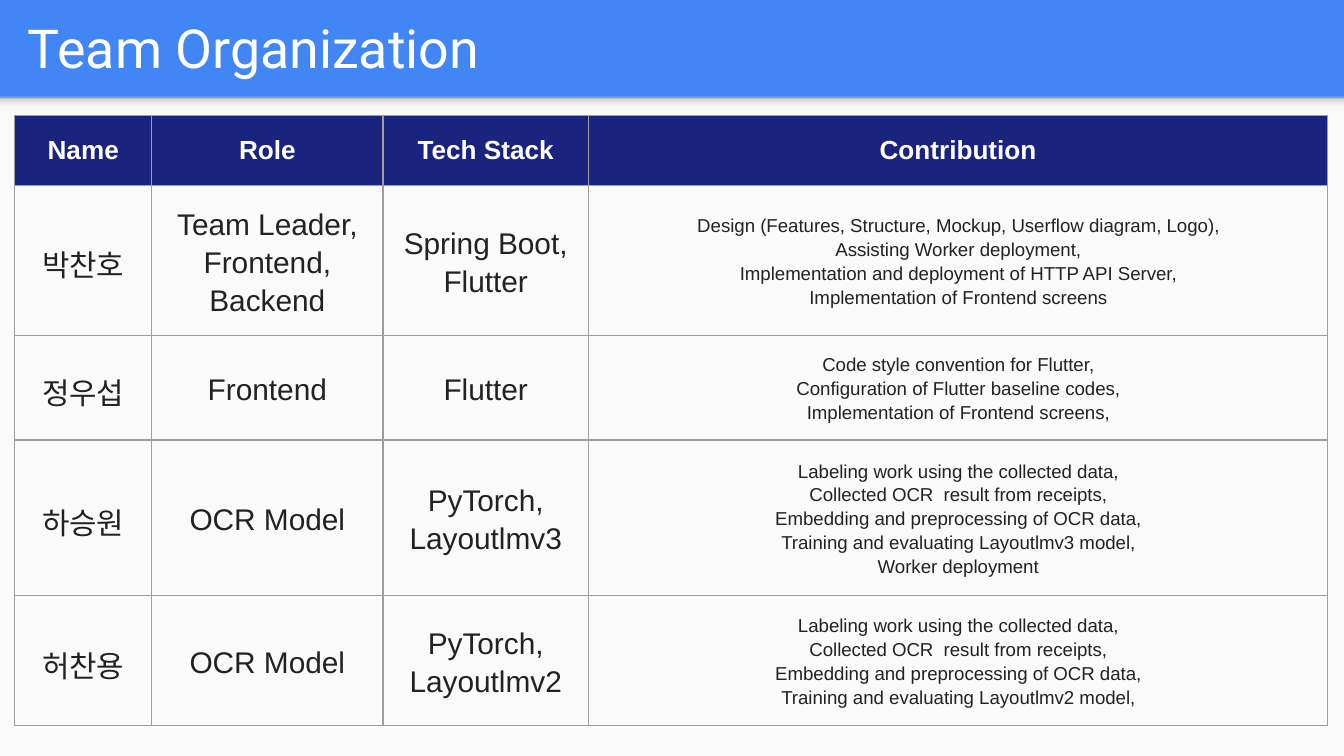
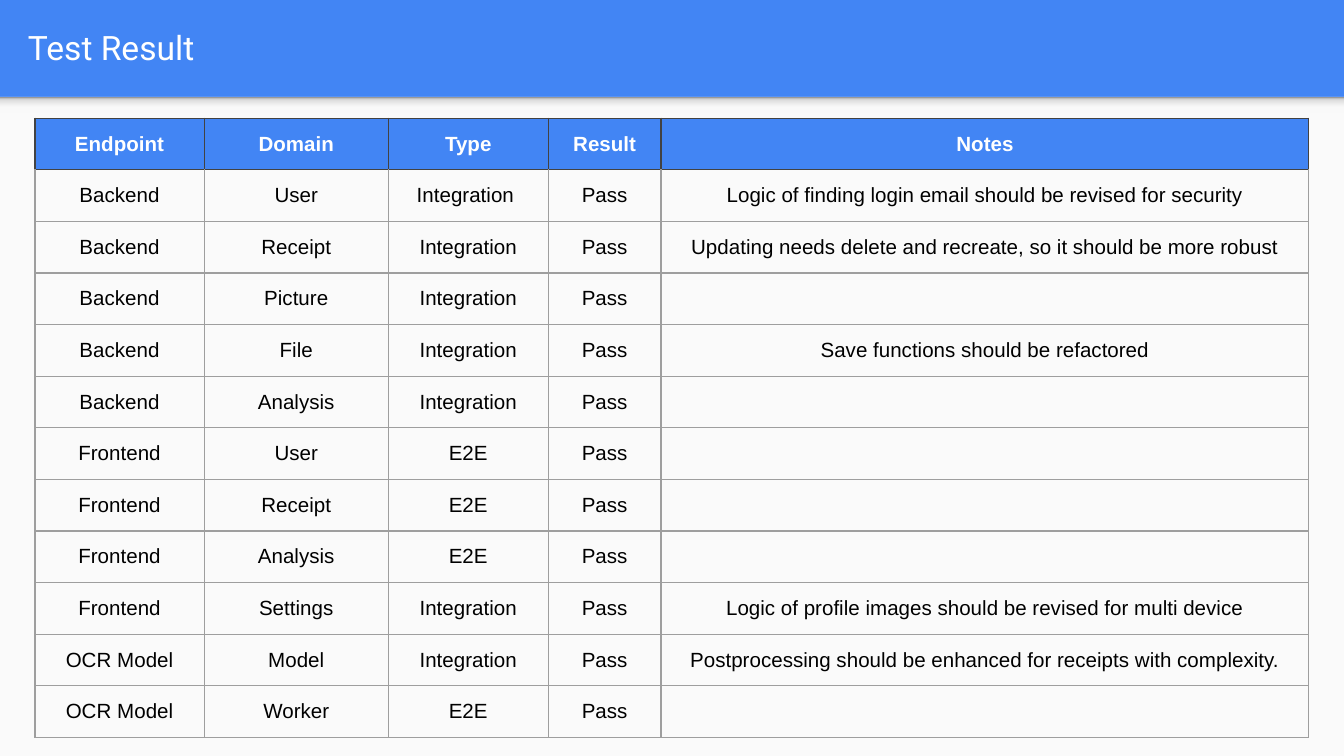
import pptx
import pptx.util
import pptx.dml.color
import pptx.enum.shapes
import pptx.enum.text
import pptx.oxml
import pptx.oxml.ns
from lxml import etree

Inches = pptx.util.Inches
Pt = pptx.util.Pt
RGBColor = pptx.dml.color.RGBColor
qn = pptx.oxml.ns.qn

BLUE = RGBColor(0x42, 0x85, 0xF4)
NAVY = RGBColor(0x1A, 0x23, 0x7E)
PAPER = RGBColor(0xFA, 0xFA, 0xFA)
WHITE = RGBColor(0xFF, 0xFF, 0xFF)
BLACK = RGBColor(0x00, 0x00, 0x00)
INK = RGBColor(0x22, 0x22, 0x22)
GREY = RGBColor(0x9E, 0x9E, 0x9E)
DARK_GREY = RGBColor(0x42, 0x42, 0x42)
SHADOW_STOPS = [
    (0, RGBColor(0xF9, 0xF9, 0xF9)),
    (36, RGBColor(0xF9, 0xF9, 0xF9)),
    (80, RGBColor(0xDE, 0xDE, 0xDE)),
    (100, RGBColor(0x99, 0x99, 0x99)),
]

SLIDE_WIDTH = 10
SLIDE_HEIGHT = SLIDE_WIDTH * 9 / 16
BAND_HEIGHT = 0.72
TITLE_FONT, BODY_FONT = "Roboto", "Arial"

TEAM_HEADER = ["Name", "Role", "Tech Stack", "Contribution"]
TEAM_ROWS = [
    ["박찬호", "Team Leader, Frontend, Backend", "Spring Boot,\nFlutter",
     "Design (Features, Structure, Mockup, Userflow diagram, Logo),\n"
     "Assisting Worker deployment,\n"
     "Implementation and deployment of HTTP API Server,\n"
     "Implementation of Frontend screens"],
    ["정우섭", "Frontend", "Flutter",
     "Code style convention for Flutter,\n"
     "Configuration of Flutter baseline codes,\n"
     "Implementation of Frontend screens,"],
    ["하승원", "OCR Model", "PyTorch,\nLayoutlmv3",
     "Labeling work using the collected data,\n"
     "Collected OCR  result from receipts,\n"
     "Embedding and preprocessing of OCR data,\n"
     "Training and evaluating Layoutlmv3 model,\n"
     "Worker deployment"],
    ["허찬용", "OCR Model", "PyTorch,\nLayoutlmv2",
     "Labeling work using the collected data,\n"
     "Collected OCR  result from receipts,\n"
     "Embedding and preprocessing of OCR data,\n"
     "Training and evaluating Layoutlmv2 model,"],
]

TEST_HEADER = ["Endpoint", "Domain", "Type", "Result", "Notes"]
TEST_ROWS = [
    ["Backend", "User", "Integration ", "Pass",
     "Logic of finding login email should be revised for security"],
    ["Backend", "Receipt", "Integration", "Pass",
     "Updating needs delete and recreate, so it should be more robust"],
    ["Backend", "Picture", "Integration", "Pass", ""],
    ["Backend", "File", "Integration", "Pass", "Save functions should be refactored"],
    ["Backend", "Analysis", "Integration", "Pass", ""],
    ["Frontend", "User", "E2E", "Pass", ""],
    ["Frontend", "Receipt", "E2E", "Pass", ""],
    ["Frontend", "Analysis", "E2E", "Pass", ""],
    ["Frontend", "Settings", "Integration", "Pass",
     "Logic of profile images should be revised for multi device"],
    ["OCR Model", "Model", "Integration", "Pass",
     "Postprocessing should be enhanced for receipts with complexity."],
    ["OCR Model", "Worker", "E2E", "Pass", ""],
]


def add_panel(slide, left, top, width, height):
    panel = slide.shapes.add_shape(
        pptx.enum.shapes.MSO_SHAPE.RECTANGLE,
        Inches(left), Inches(top), Inches(width), Inches(height))
    panel.shadow.inherit = False
    panel.fill.solid()
    panel.fill.fore_color.rgb = PAPER
    panel.line.fill.background()
    return panel


def fade_upward(panel):
    properties = panel.fill._xPr
    solid = properties.find(qn("a:solidFill"))
    gradient = etree.Element(qn("a:gradFill"), rotWithShape="1")
    stops = etree.SubElement(gradient, qn("a:gsLst"))
    for percent, color in SHADOW_STOPS:
        stop = etree.SubElement(stops, qn("a:gs"), pos=str(percent * 1000))
        etree.SubElement(stop, qn("a:srgbClr"), val=str(color))
    etree.SubElement(gradient, qn("a:lin"), ang="16200000", scaled="0")
    properties.replace(solid, gradient)


def add_title(slide, text, size, left, top, width, height):
    box = slide.shapes.add_textbox(
        Inches(left), Inches(top), Inches(width), Inches(height))
    frame = box.text_frame
    frame.word_wrap = True
    frame.vertical_anchor = pptx.enum.text.MSO_ANCHOR.MIDDLE
    frame.margin_left = frame.margin_right = Inches(0.1)
    frame.margin_top = frame.margin_bottom = Inches(0.1)
    frame.text = text
    font = frame.paragraphs[0].runs[0].font
    font.name, font.size, font.color.rgb = TITLE_FONT, Pt(size), WHITE


def add_titled_slide(deck, title, title_size):
    slide = deck.slides.add_slide(deck.slide_layouts[6])
    slide.background.fill.solid()
    slide.background.fill.fore_color.rgb = BLUE
    add_panel(slide, 0, BAND_HEIGHT, SLIDE_WIDTH, SLIDE_HEIGHT - BAND_HEIGHT)
    fade_upward(add_panel(slide, 0, BAND_HEIGHT, SLIDE_WIDTH, 0.12))
    add_title(slide, title, title_size, 0.11, 0.02, 9.65, 0.66)
    return slide


def set_borders(cell, color, top_color):
    properties = cell._tc.get_or_add_tcPr()
    for side in ("L", "R", "T", "B"):
        line = etree.SubElement(properties, qn("a:ln" + side), w=str(Pt(0.75)))
        fill = etree.SubElement(line, qn("a:solidFill"))
        shade = top_color if side == "T" else color
        etree.SubElement(fill, qn("a:srgbClr"), val=str(shade))


def write_cell(cell, text, size, color, bold, spacing):
    cell.vertical_anchor = pptx.enum.text.MSO_ANCHOR.MIDDLE
    cell.margin_left = cell.margin_right = Inches(0.1)
    cell.margin_top = cell.margin_bottom = Inches(0.1)
    cell.text_frame.text = text
    for para in cell.text_frame.paragraphs:
        para.alignment = pptx.enum.text.PP_ALIGN.CENTER
        if spacing:
            para.line_spacing = spacing
        for span in para.runs:
            font = span.font
            font.name, font.size = BODY_FONT, Pt(size)
            font.bold, font.color.rgb = bold, color
        if not para.runs:
            ending = etree.SubElement(
                para._p, qn("a:endParaRPr"), sz=str(size * 100))
            etree.SubElement(ending, qn("a:latin"), typeface=BODY_FONT)


def add_grid(slide, left, top, widths, heights, header, rows, header_fill,
             header_size, header_border, sizes, ink, spacing=None):
    grid = slide.shapes.add_table(
        len(heights), len(widths), Inches(left), Inches(top),
        Inches(sum(widths)), Inches(sum(heights))).table
    grid.horz_banding = False
    for column, width in zip(grid.columns, widths):
        column.width = Inches(width)
    for row, height in zip(grid.rows, heights):
        row.height = Inches(height)
    for column, text in enumerate(header):
        cell = grid.cell(0, column)
        set_borders(cell, header_border, header_border)
        cell.fill.solid()
        cell.fill.fore_color.rgb = header_fill
        write_cell(cell, text, header_size, WHITE, True, None)
    for number, texts in enumerate(rows, 1):
        top_color = header_border if number == 1 else GREY
        for column, text in enumerate(texts):
            cell = grid.cell(number, column)
            set_borders(cell, GREY, top_color)
            cell.fill.background()
            write_cell(cell, text, sizes[column], ink, False, spacing)


def add_team_slide(deck):
    slide = add_titled_slide(deck, "Team Organization", 28.8)
    add_grid(slide, 0.11, 0.86, [1.02, 1.72, 1.53, 5.5],
             [0.52, 0.58, 0.58, 0.36, 0.94], TEAM_HEADER, TEAM_ROWS,
             NAVY, 14, GREY, [16, 16, 16, 10], INK, 1.15)


def add_test_slide(deck):
    slide = add_titled_slide(deck, "Test Result", 18)
    add_grid(slide, 0.26, 0.88, [1.26, 1.37, 1.19, 0.84, 4.82],
             [0.31] * (len(TEST_ROWS) + 1), TEST_HEADER, TEST_ROWS,
             BLUE, 11, DARK_GREY, [11] * len(TEST_HEADER), BLACK)


def main():
    deck = pptx.Presentation()
    deck.slide_width = Inches(SLIDE_WIDTH)
    deck.slide_height = Inches(SLIDE_HEIGHT)
    add_team_slide(deck)
    add_test_slide(deck)
    deck.save("out.pptx")


if __name__ == "__main__":
    main()
